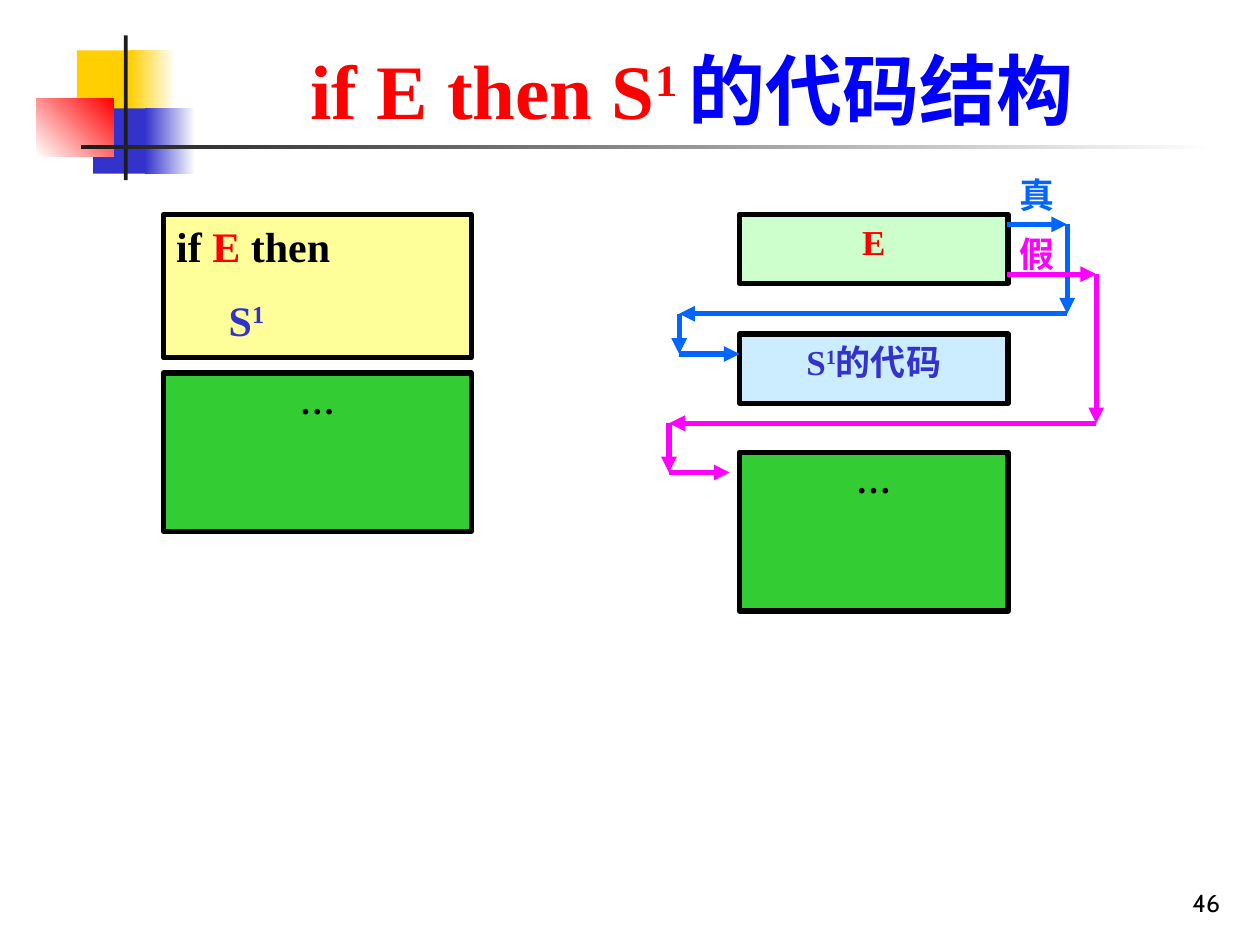
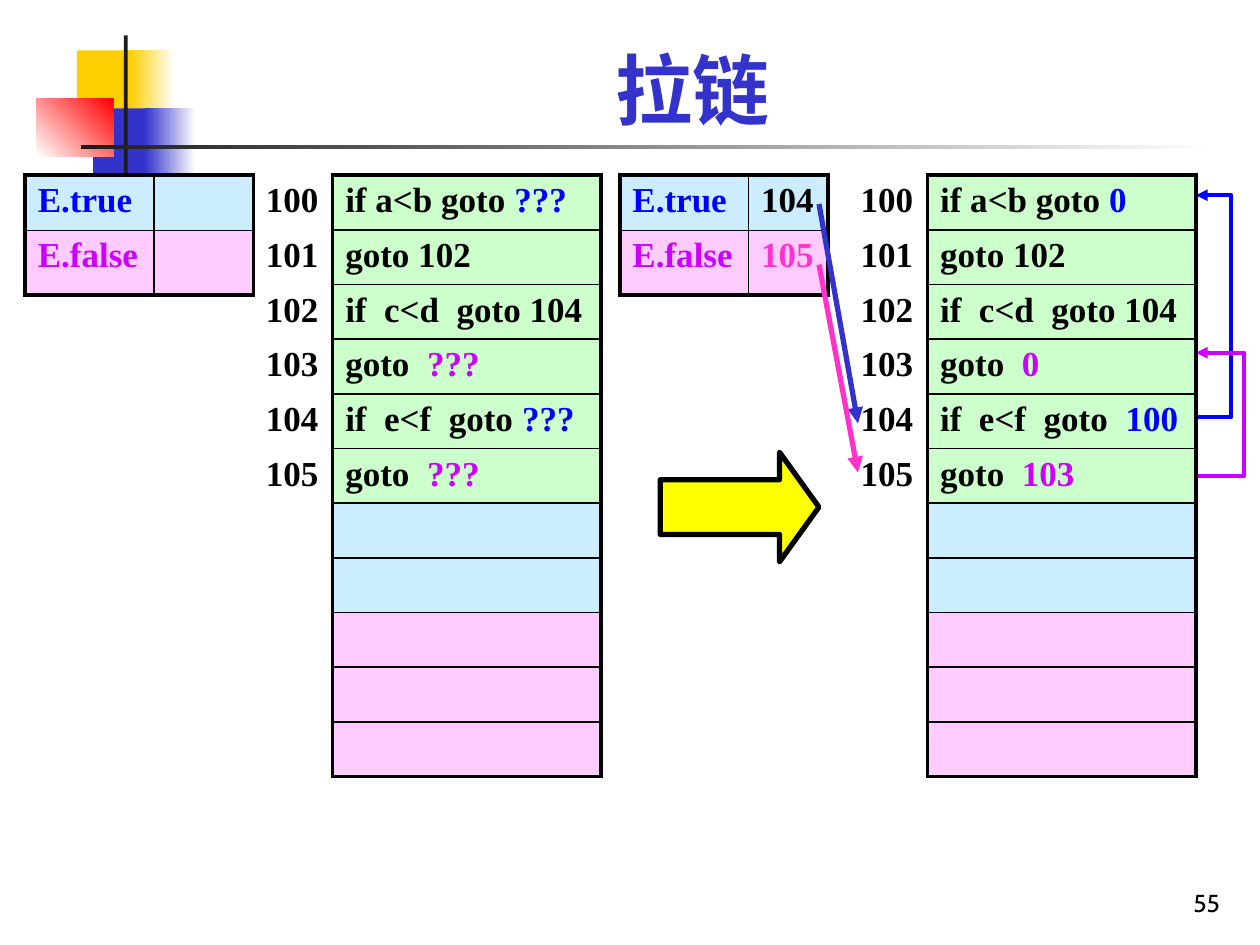
import itertools

import pptx
import pptx.dml.color
import pptx.enum.shapes
import pptx.enum.text
import pptx.oxml
import pptx.oxml.ns
import pptx.util

Pt = pptx.util.Pt
SHAPE = pptx.enum.shapes.MSO_SHAPE
CONNECTOR = pptx.enum.shapes.MSO_CONNECTOR
ALIGN = pptx.enum.text.PP_ALIGN
ANCHOR = pptx.enum.text.MSO_ANCHOR

COLORS = {
    "black": "000000", "white": "FFFFFF", "ink": "1C1C1C", "gold": "FFCF01",
    "indigo": "3333CC", "red": "FF0000", "blue": "0000FF", "azure": "0066FF",
    "magenta": "FF00FF", "violet": "CC00FF", "pink": "FF33CC",
    "yellow": "FFFF00", "cream": "FFFF99", "green": "33CC33",
    "mint": "CCFFCC", "sky": "CCECFF", "rose": "FFCCFF",
}


class SlideBuilder:
    """Hold the shared style and draw elements on the current slide."""

    font = "Times New Roman"
    heavy, thin = 2.25, 1

    def __init__(self):
        self.deck = pptx.Presentation()
        self.deck.slide_width, self.deck.slide_height = Pt(720), Pt(540)
        self.page = None

    def color(self, name):
        return pptx.dml.color.RGBColor.from_string(COLORS[name])

    def new_page(self, title, number):
        self.page = self.deck.slides.add_slide(self.deck.slide_layouts[6])
        self.block(43.9, 28.8, 34.6, 37.4, "gold")
        self.block(74.2, 28.8, 25.9, 37.4, "gold", "white")
        self.block(53.3, 61.9, 33.1, 37.4, "indigo")
        self.block(82.8, 61.9, 28.8, 37.4, "indigo", "white")
        self.block(20.9, 56.2, 43.9, 33.1, "white", "red", 45)
        self.block(70.8, 20.2, 2.2, 82.8, "ink")
        self.block(46.1, 82.8, 648, 2.2, "ink", "white")
        self.label(554.4, 491.8, 149.8, 36, [(number, "black")], 14, ALIGN.RIGHT,
                   ANCHOR.BOTTOM, font="Cabin", bold=False)
        self.label(87.8, 25.9, 615.6, 54.7, title, 44, ALIGN.CENTER, ANCHOR.BOTTOM)

    def block(self, left, top, width, height, fill, fade=None, angle=0,
              outline=None, kind=SHAPE.RECTANGLE):
        shape = self.page.shapes.add_shape(kind, Pt(left), Pt(top), Pt(width), Pt(height))
        shape.shadow.inherit = False
        if fade:
            shape.fill.gradient()
            shape.fill.gradient_angle = angle
            for stop, name in zip(shape.fill.gradient_stops, (fill, fade)):
                stop.color.rgb = self.color(name)
        else:
            shape.fill.solid()
            shape.fill.fore_color.rgb = self.color(fill)
        if outline:
            shape.line.color.rgb = self.color(outline)
            shape.line.width = Pt(3)
        else:
            shape.line.fill.background()
        return shape

    def add_spans(self, para, spans, size, align=ALIGN.LEFT, font=None, bold=True):
        para.alignment = align
        for text, name, *raised in spans:
            span = para.add_run()
            span.text = text
            span.font.name = font or self.font
            span.font.size = Pt(size)
            span.font.bold = bold
            span.font.color.rgb = self.color(name)
            if raised:
                span.font._element.set("baseline", "30000")

    def label(self, left, top, width, height, spans, size, align, anchor,
              wrap=True, font=None, bold=True):
        box = self.page.shapes.add_textbox(Pt(left), Pt(top), Pt(width), Pt(height))
        frame = box.text_frame
        frame.word_wrap = wrap
        frame.vertical_anchor = anchor
        self.add_spans(frame.paragraphs[0], spans, size, align, font, bold)

    def code_box(self, left, top, width, height, fill, lines, size=20, align=ALIGN.CENTER):
        frame = self.block(left, top, width, height, fill, outline="black").text_frame
        frame.word_wrap = True
        frame.vertical_anchor = ANCHOR.TOP
        for index, spans in enumerate(lines):
            para = frame.add_paragraph() if index else frame.paragraphs[0]
            if index:
                para.space_before = Pt(13.5)
                para._p.get_or_add_pPr().set("indent", str(Pt(30)))
            self.add_spans(para, spans, size, align)

    def arrow(self, start, end, name, width=3, kind=CONNECTOR.STRAIGHT):
        line = self.page.shapes.add_connector(kind, *map(Pt, start + end))
        line.line.color.rgb = self.color(name)
        line.line.width = Pt(width)
        tail = pptx.oxml.parse_xml(f'<a:tailEnd {pptx.oxml.ns.nsdecls("a")} type="triangle"/>')
        line.line._get_or_add_ln().append(tail)
        effects = pptx.oxml.parse_xml(f'<a:effectLst {pptx.oxml.ns.nsdecls("a")}/>')
        line._element.spPr.append(effects)
        return line

    def route(self, points, name):
        for start, end in itertools.pairwise(points):
            self.arrow(start, end, name)

    def loop_back(self, x, bottom, top, reach, name):
        slack = 0.1
        line = self.arrow((x, bottom), (x + slack, top), name, 2.25, CONNECTOR.ELBOW)
        bend = round(reach / slack * 100000)
        geometry = line._element.spPr.find(pptx.oxml.ns.qn("a:prstGeom"))
        guides = geometry.get_or_add_avLst()
        guides.append(pptx.oxml.parse_xml(
            f'<a:gd {pptx.oxml.ns.nsdecls("a")} name="adj1" fmla="val {bend}"/>'))

    def border(self, cell, side, width):
        paint = f'<a:solidFill><a:srgbClr val="{COLORS["black"]}"/></a:solidFill>'
        cell._tc.get_or_add_tcPr().append(pptx.oxml.parse_xml(
            f'<a:ln{side} {pptx.oxml.ns.nsdecls("a")} w="{Pt(width)}">'
            f'{paint if width else "<a:noFill/>"}</a:ln{side}>'))

    def table(self, left, widths, heights, rows, fills, margin_columns=0):
        shape = self.page.shapes.add_table(len(rows), len(widths), Pt(left), Pt(100.1),
                                           Pt(sum(widths)), Pt(sum(heights)))
        table = shape.table
        table.first_row = table.horz_banding = False
        for column, width in zip(table.columns, widths):
            column.width = Pt(width)
        last_row, last_column = len(rows) - 1, len(widths) - 1
        for y, (row, fill) in enumerate(zip(rows, fills)):
            table.rows[y].height = Pt(heights[y])
            for x, spans in enumerate(row):
                cell = table.cell(y, x)
                inner = 0 if x < margin_columns else self.thin
                outer = self.heavy if inner else 0
                self.border(cell, "L", outer if x == margin_columns else inner)
                closes = x in (margin_columns - 1, last_column)
                self.border(cell, "R", self.heavy if closes else inner)
                self.border(cell, "T", inner if y else outer)
                self.border(cell, "B", outer if y == last_row else inner)
                cell.fill.solid()
                cell.fill.fore_color.rgb = self.color(fill if inner else "white")
                self.add_spans(cell.text_frame.paragraphs[0], spans, 20)

    def code_table(self, left, targets):
        code = ["if a<b goto ", "goto 102", "if  c<d  goto 104", "goto  ",
                "if  e<f  goto ", "goto  "]
        rows = []
        for number, (text, target) in enumerate(zip(code, targets), 100):
            spans = [(text, "black")] + ([target] if target else [])
            rows.append([[(str(number), "black")], spans])
        rows += [[[], []]] * 5
        fills = ["mint"] * 6 + ["sky"] * 2 + ["rose"] * 3
        self.table(left, [45.4, 153.4], [31.25] * len(rows), rows, fills, margin_columns=1)

    def exit_table(self, left, value_width, true_value, false_value):
        rows = [[[("E.true", "blue")], true_value], [[("E.false", "violet")], false_value]]
        self.table(left, [73.5, value_width], [31.5, 37], rows, ["sky", "rose"])


def build_if_then(builder):
    builder.new_page([("if E then S", "red"), ("1 ", "red", True), ("的代码结构", "blue")], "46")
    dots = [[("…", "black")]]
    builder.code_box(422.6, 190.8, 153.4, 39.6, "sky",
                     [[("S", "indigo"), ("1", "indigo", True), ("的代码", "indigo")]])
    builder.code_box(422.6, 122.4, 153.4, 39.6, "mint", [[("E", "red")]])
    builder.route([(575.3, 128.2), (609.8, 128.2), (609.8, 179.3), (388.1, 179.3),
                   (388.1, 202.3), (422.6, 202.3)], "azure")
    builder.route([(575.3, 156.7), (626.4, 156.7), (626.4, 241.9), (382.3, 241.9),
                   (382.3, 270), (416.9, 270)], "magenta")
    for top, text, name in ((94.3, "真", "azure"), (128.2, "假", "magenta")):
        builder.label(575.3, top, 33.8, 33.8, [(text, name)], 20, ALIGN.CENTER,
                      ANCHOR.MIDDLE, wrap=False)
    builder.code_box(93.6, 122.4, 175.7, 82.1, "cream",
                     [[("if ", "black"), ("E", "red"), (" then", "black")],
                      [("S", "indigo"), ("1", "indigo", True)]], 24, ALIGN.LEFT)
    builder.code_box(422.6, 258.5, 153.4, 90.7, "green", dots)
    builder.code_box(93.6, 213.1, 175.7, 90.7, "green", dots)


def build_chaining(builder):
    builder.new_page([("拉链", "indigo")], "55")
    unknown_true, unknown_false = ("???", "blue"), ("???", "violet")
    builder.code_table(144.7, [unknown_true, None, None, unknown_false,
                               unknown_true, unknown_false])
    builder.exit_table(14.4, 56.9, [], [])
    arrow = builder.block(377.3, 258.5, 90.7, 62.6, "yellow", outline="black",
                          kind=SHAPE.RIGHT_ARROW)
    arrow.adjustments[1] = 0.36
    builder.loop_back(683.3, 238.3, 111.6, 18, "blue")
    builder.loop_back(683.3, 272.2, 201.6, 24.5, "violet")
    builder.code_table(484.6, [("0", "blue"), None, None, ("0", "violet"),
                               (" 100", "blue"), ("103", "violet")])
    builder.exit_table(354.2, 45.4, [("104", "black")], [("105", "pink")])
    builder.arrow((468, 116.6), (490.3, 241.9), "indigo")
    builder.arrow((468, 151.2), (490.3, 270), "pink")


def main():
    builder = SlideBuilder()
    build_if_then(builder)
    build_chaining(builder)
    builder.deck.save("out.pptx")


if __name__ == "__main__":
    main()
